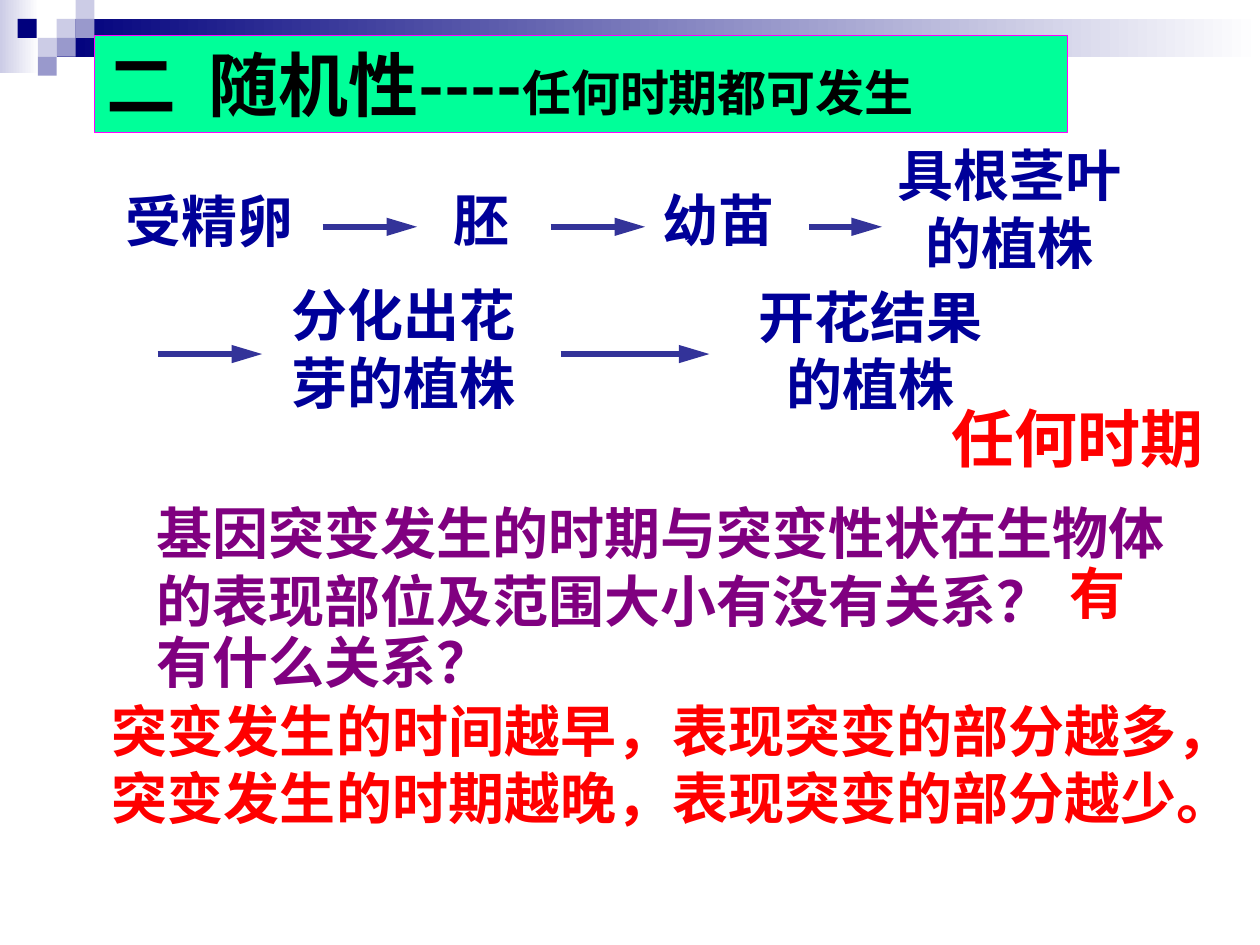
from dataclasses import dataclass

from lxml import etree
from pptx import Presentation
from pptx.dml.color import RGBColor
from pptx.enum.lang import MSO_LANGUAGE_ID
from pptx.enum.shapes import MSO_CONNECTOR, MSO_SHAPE
from pptx.enum.text import MSO_ANCHOR, PP_ALIGN
from pptx.oxml.ns import qn
from pptx.util import Pt

EMU_PER_PX = 9144
SQUARE = 15
LINE_HEIGHT = 1.2
SANS = "Noto Sans CJK SC"
SERIF = "Times New Roman"

RECTANGLE = MSO_SHAPE.RECTANGLE
STRAIGHT = MSO_CONNECTOR.STRAIGHT
LEFT = PP_ALIGN.LEFT
CENTER = PP_ALIGN.CENTER
TOP = MSO_ANCHOR.TOP
CHINESE = MSO_LANGUAGE_ID.SIMPLIFIED_CHINESE

WHITE = RGBColor(0xFF, 0xFF, 0xFF)
BLACK = RGBColor(0x00, 0x00, 0x00)
NAVY = RGBColor(0x00, 0x00, 0x7D)
LAVENDER = RGBColor(0xCC, 0xCC, 0xE6)
PERIWINKLE = RGBColor(0x99, 0x99, 0xCC)
STAGE_BLUE = RGBColor(0x00, 0x00, 0x99)
ARROW_BLUE = RGBColor(0x33, 0x33, 0x99)
PURPLE = RGBColor(0x80, 0x00, 0x80)
RED = RGBColor(0xFF, 0x00, 0x00)
MINT = RGBColor(0x00, 0xFF, 0x99)
MAGENTA = RGBColor(0xFF, 0x00, 0xFF)


@dataclass
class Square:
    left: int
    top: int
    color: RGBColor


@dataclass
class Label:
    text: str
    left: int
    top: int
    width: int
    height: int
    color: RGBColor = STAGE_BLUE
    font: str = SERIF
    size: int = 32
    align: PP_ALIGN = LEFT
    wrap: bool = True


@dataclass
class Arrow:
    start: int
    end: int
    y: int


SQUARES = [
    Square(45, 15, LAVENDER),
    Square(60, 0, LAVENDER),
    Square(60, 15, PERIWINKLE),
    Square(30, 30, LAVENDER),
    Square(14, 15, NAVY),
    Square(45, 30, PERIWINKLE),
    Square(30, 45, PERIWINKLE),
]
STAGES = [
    Label("受精卵", 90, 143, 165, 64),
    Label("胚", 350, 142, 117, 64),
    Label("幼苗", 516, 142, 125, 64),
    Label("具根茎叶的植株", 697, 107, 208, 117, align=CENTER),
    Label("分化出花芽的植株", 216, 218, 208, 117, align=CENTER),
    Label("开花结果的植株", 587, 219, 208, 117, align=CENTER),
]
ARROWS = [
    Arrow(256, 331, 180),
    Arrow(437, 512, 180),
    Arrow(642, 700, 180),
    Arrow(125, 208, 281),
    Arrow(445, 563, 281),
]
QUESTIONS_AND_ANSWERS = [
    Label("基因突变发生的时期与突变性状在生物体的表现部位及范围大小有没有关系？",
          114, 391, 858, 117, PURPLE, SANS),
    Label("有什么关系？", 114, 493, 315, 64, PURPLE, SANS),
    Label("突变发生的时间越早，表现突变的部分越多，突变发生的时期越晚，表现突变的部分越少。",
          79, 548, 921, 117, RED, SANS),
    Label("有", 839, 438, 99, 64, RED, SANS),
    Label("任何时期", 745, 312, 220, 70, RED, SANS, 36, wrap=False),
]


def px(length: int) -> int:
    return length * EMU_PER_PX


def format_span(span, font: str, size: int, color: RGBColor) -> None:
    span.font.size = Pt(size)
    span.font.bold = True
    span.font.color.rgb = color
    span.font.name = font
    span.font.language_id = CHINESE
    properties = span.font._element
    etree.SubElement(properties, qn("a:ea")).set("typeface", SANS)


def add_rectangle(page, left: int, top: int, width: int, height: int):
    box = page.shapes.add_shape(RECTANGLE, px(left), px(top), px(width), px(height))
    box.shadow.inherit = False
    box.line.fill.background()
    return box


def add_gradient(page, left: int, top: int, width: int, height: int, color: RGBColor) -> None:
    fill = add_rectangle(page, left, top, width, height).fill
    fill.gradient()
    fill.gradient_angle = 0
    for stop, stop_color in zip(fill.gradient_stops, (color, WHITE)):
        stop.color.rgb = stop_color


def add_square(page, square: Square) -> None:
    box = add_rectangle(page, square.left, square.top, SQUARE, SQUARE)
    box.fill.solid()
    box.fill.fore_color.rgb = square.color


def add_label(page, label: Label) -> None:
    box = page.shapes.add_textbox(px(label.left), px(label.top), px(label.width), px(label.height))
    frame = box.text_frame
    frame.word_wrap = label.wrap
    frame.text = label.text
    para = frame.paragraphs[0]
    para.alignment = label.align
    para.line_spacing = Pt(label.size * LINE_HEIGHT)
    format_span(para.runs[0], label.font, label.size, label.color)


def add_arrow(page, arrow: Arrow) -> None:
    line = page.shapes.add_connector(
        STRAIGHT, px(arrow.start), px(arrow.y), px(arrow.end), px(arrow.y))
    line.line.color.rgb = ARROW_BLUE
    line.line.width = Pt(3.5)
    head = etree.SubElement(line.line._get_or_add_ln(), qn("a:tailEnd"))
    head.set("type", "triangle")
    head.set("len", "lg")
    etree.SubElement(line._element.spPr, qn("a:effectLst"))


def add_title(page) -> None:
    box = add_rectangle(page, 75, 28, 772, 77)
    box.fill.solid()
    box.fill.fore_color.rgb = MINT
    box.line.color.rgb = MAGENTA
    box.line.width = Pt(0.75)
    frame = box.text_frame
    frame.word_wrap = True
    frame.vertical_anchor = TOP
    para = frame.paragraphs[0]
    para.alignment = LEFT
    para.line_spacing = Pt(40 * LINE_HEIGHT)
    tabs = etree.SubElement(para._p.get_or_add_pPr(), qn("a:tabLst"))
    stop = etree.SubElement(tabs, qn("a:tab"))
    stop.set("pos", str(px(81)))
    stop.set("algn", "l")
    for text, size in (("二\t随机性----", 40), ("任何时期都可发生", 28)):
        span = para.add_run()
        span.text = text
        format_span(span, SANS, size, BLACK)


def main() -> None:
    deck = Presentation()
    deck.slide_width = px(1000)
    deck.slide_height = px(750)
    page = deck.slides.add_slide(deck.slide_layouts[6])
    add_gradient(page, 0, 0, 31, 58, LAVENDER)
    add_gradient(page, 45, 15, 955, 30, NAVY)
    for square in SQUARES:
        add_square(page, square)
    for label in STAGES + QUESTIONS_AND_ANSWERS:
        add_label(page, label)
    for arrow in ARROWS:
        add_arrow(page, arrow)
    add_title(page)
    deck.save("out.pptx")


if __name__ == "__main__":
    main()
